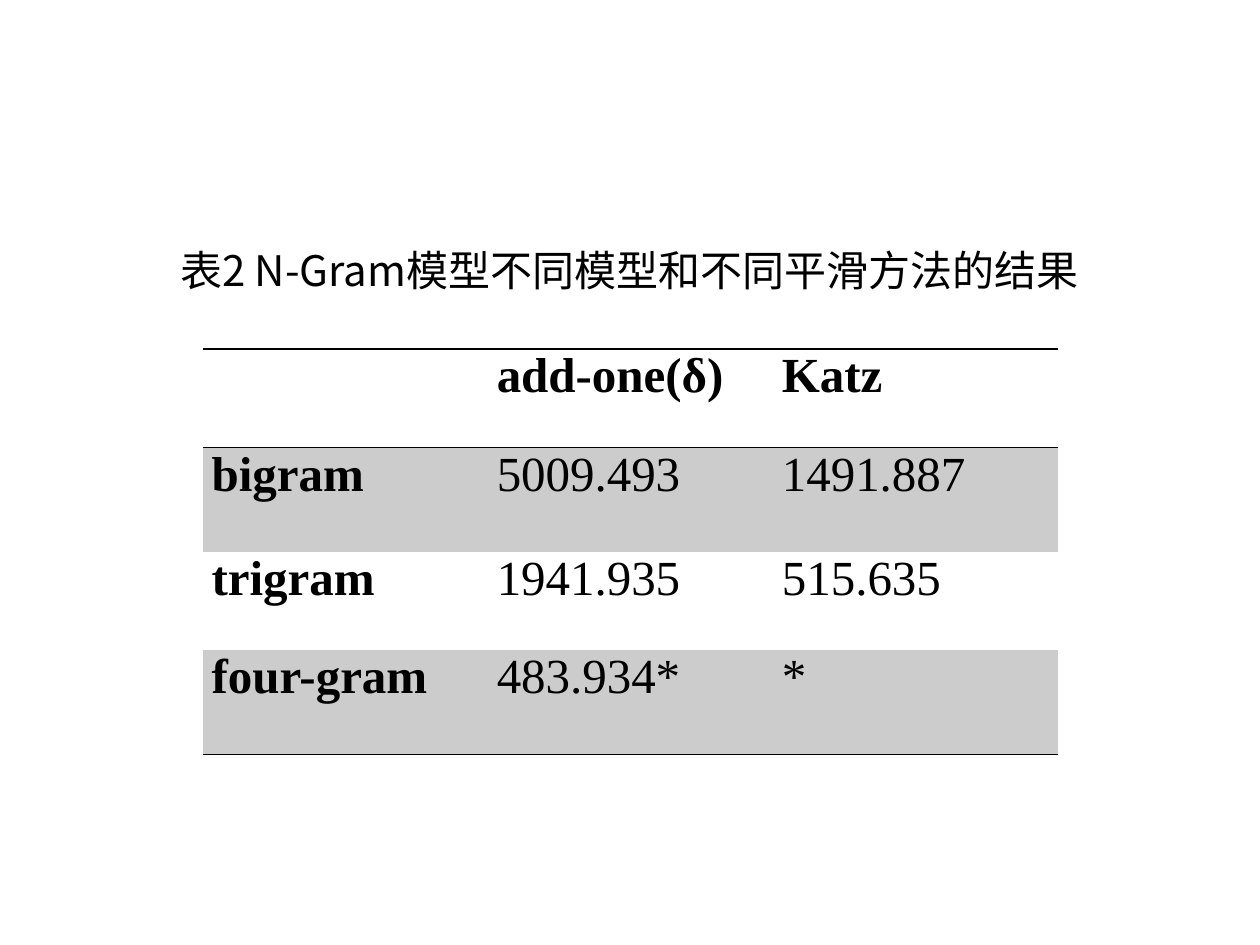
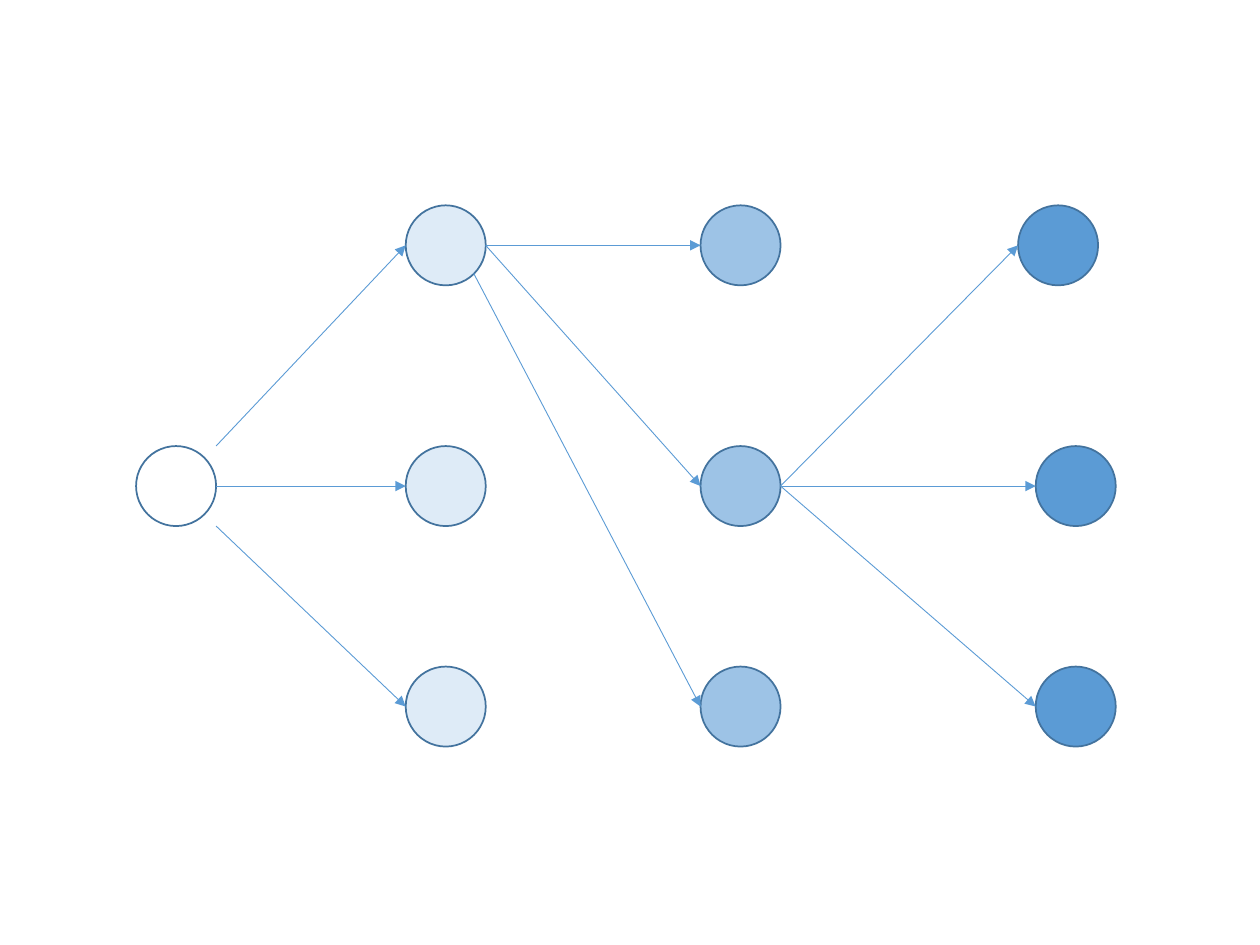
from lxml import etree
from pptx import Presentation
from pptx.dml.color import RGBColor
from pptx.enum.shapes import MSO_CONNECTOR, MSO_SHAPE
from pptx.enum.text import MSO_ANCHOR, MSO_AUTO_SIZE, PP_ALIGN
from pptx.oxml.ns import qn
from pptx.util import Inches, Pt

STRAIGHT = MSO_CONNECTOR.STRAIGHT
OVAL = MSO_SHAPE.OVAL
MIDDLE = MSO_ANCHOR.MIDDLE
GROW = MSO_AUTO_SIZE.SHAPE_TO_FIT_TEXT
CENTER, JUSTIFY = PP_ALIGN.CENTER, PP_ALIGN.JUSTIFY

BLACK = RGBColor(0x00, 0x00, 0x00)
WHITE = RGBColor(0xFF, 0xFF, 0xFF)
BAND = RGBColor(0xCC, 0xCC, 0xCC)
OUTLINE = RGBColor(0x43, 0x73, 0x9E)
PALE_BLUE = RGBColor(0xDE, 0xEB, 0xF7)
LIGHT_BLUE = RGBColor(0x9D, 0xC3, 0xE6)
BLUE = RGBColor(0x5B, 0x9B, 0xD5)

CAPTION_FONT = "Noto Sans CJK SC"
TABLE_FONT = "Times New Roman"

CAPTION = "表2 N-Gram模型不同模型和不同平滑方法的结果"
RESULTS = [
    ["", "add-one(δ)", "Katz"],
    ["bigram", "5009.493", "1491.887"],
    ["trigram", "1941.935", "515.635"],
    ["four-gram", "483.934*", "*"],
]
ROW_HEIGHTS = [0.78, 0.83, 0.78, 0.83]
RULED_EDGES = {0, 1, 4}

DIAMETER = 0.635
LEVEL_TOPS = [1.63, 3.54, 5.29]
ROOT = (1.08, 3.54)
STAGES = [
    (PALE_BLUE, [3.22, 3.22, 3.22]),
    (LIGHT_BLUE, [5.56, 5.56, 5.56]),
    (BLUE, [8.08, 8.22, 8.22]),
]


def apply_format(target, **values):
    for name, value in values.items():
        setattr(target, name, value)


def write(paragraph, text, font, size, bold, alignment):
    paragraph.alignment = alignment
    run = paragraph.add_run()
    run.text = text
    apply_format(run.font, name=font, size=Pt(size), bold=bold)
    run.font.color.rgb = BLACK
    east_asian = etree.SubElement(run.font._element, qn("a:ea"))
    east_asian.set("typeface", font)


def rule_cell(cell, row):
    properties = cell._tc.get_or_add_tcPr()
    ruled = {"L": False, "R": False, "T": row in RULED_EDGES, "B": row + 1 in RULED_EDGES}
    for side, visible in ruled.items():
        edge = etree.SubElement(properties, qn(f"a:ln{side}"), w=str(Pt(1)))
        if visible:
            fill = etree.SubElement(edge, qn("a:solidFill"))
            etree.SubElement(fill, qn("a:srgbClr"), val=str(BLACK))
        else:
            etree.SubElement(edge, qn("a:noFill"))


def add_caption(slide, left, top, width, height):
    box = slide.shapes.add_textbox(Inches(left), Inches(top), Inches(width), Inches(height))
    apply_format(box.text_frame, word_wrap=True, auto_size=GROW, vertical_anchor=MIDDLE)
    write(box.text_frame.paragraphs[0], CAPTION, CAPTION_FONT, 24, False, CENTER)


def add_results(slide, left, top, width):
    columns = len(RESULTS[0])
    table = slide.shapes.add_table(
        len(RESULTS), columns, Inches(left), Inches(top),
        Inches(width), Inches(sum(ROW_HEIGHTS))).table
    apply_format(table, first_row=False, horz_banding=False)
    for column in table.columns:
        column.width = Inches(width / columns)
    for r, (values, height) in enumerate(zip(RESULTS, ROW_HEIGHTS)):
        table.rows[r].height = Inches(height)
        for c, value in enumerate(values):
            cell = table.cell(r, c)
            apply_format(cell, margin_left=Inches(0.07), margin_right=Inches(0.07),
                         margin_top=0, margin_bottom=0)
            rule_cell(cell, r)
            if r % 2:
                cell.fill.solid()
                cell.fill.fore_color.rgb = BAND
            else:
                cell.fill.background()
            if value:
                write(cell.text_frame.paragraphs[0], value, TABLE_FONT, 28,
                      r == 0 or c == 0, JUSTIFY)


def add_node(slide, left, top, color):
    node = slide.shapes.add_shape(
        OVAL, Inches(left), Inches(top), Inches(DIAMETER), Inches(DIAMETER))
    node.shadow.inherit = False
    node.fill.solid()
    node.fill.fore_color.rgb = color
    node.line.color.rgb = OUTLINE
    node.line.width = Pt(1)


def add_arrow(slide, start, end):
    arrow = slide.shapes.add_connector(STRAIGHT, *(Inches(v) for v in (*start, *end)))
    arrow.line.color.rgb = BLUE
    arrow.line.width = Pt(0.5)
    etree.SubElement(arrow.line._get_or_add_ln(), qn("a:tailEnd"), type="triangle")
    etree.SubElement(arrow._element.spPr, qn("a:effectLst"))


def left_side(node):
    return node[0], node[1] + DIAMETER / 2


def right_side(node):
    return node[0] + DIAMETER, node[1] + DIAMETER / 2


def add_search_tree(slide):
    add_node(slide, *ROOT, WHITE)
    stages = []
    for color, lefts in STAGES:
        nodes = list(zip(lefts, LEVEL_TOPS))
        for node in nodes:
            add_node(slide, *node, color)
        stages.append(nodes)

    first, second, third = stages
    root_right = ROOT[0] + DIAMETER
    root_starts = [(root_right, ROOT[1] + DIAMETER * part) for part in (0, 0.5, 1)]
    first_right = right_side(first[0])
    first_lower_right = (first[0][0] + DIAMETER * 0.85, first[0][1] + DIAMETER * 0.85)
    fans = [
        (root_starts, first),
        ([first_right, first_right, first_lower_right], second),
        ([right_side(second[1])] * 3, third),
    ]
    for starts, targets in fans:
        for start, target in zip(starts, targets):
            add_arrow(slide, start, left_side(target))


def main():
    deck = Presentation()
    apply_format(deck, slide_width=Inches(10), slide_height=Inches(7.5))
    blank = deck.slide_layouts[6]

    results = deck.slides.add_slide(blank)
    add_results(results, 1.61, 2.77, 6.79)
    add_caption(results, 1.21, 1.89, 7.57, 0.5)

    add_search_tree(deck.slides.add_slide(blank))
    deck.save("out.pptx")


if __name__ == "__main__":
    main()
